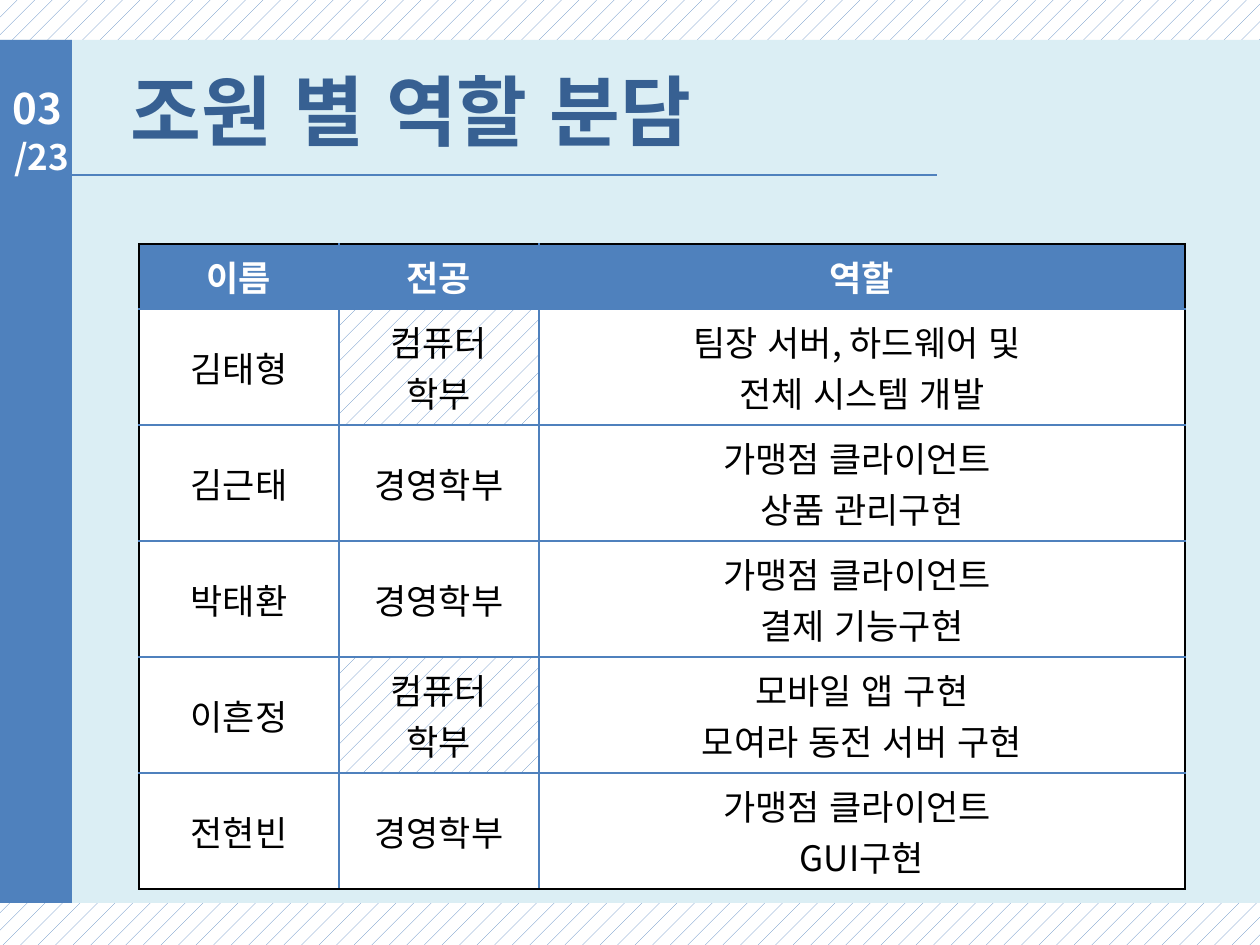
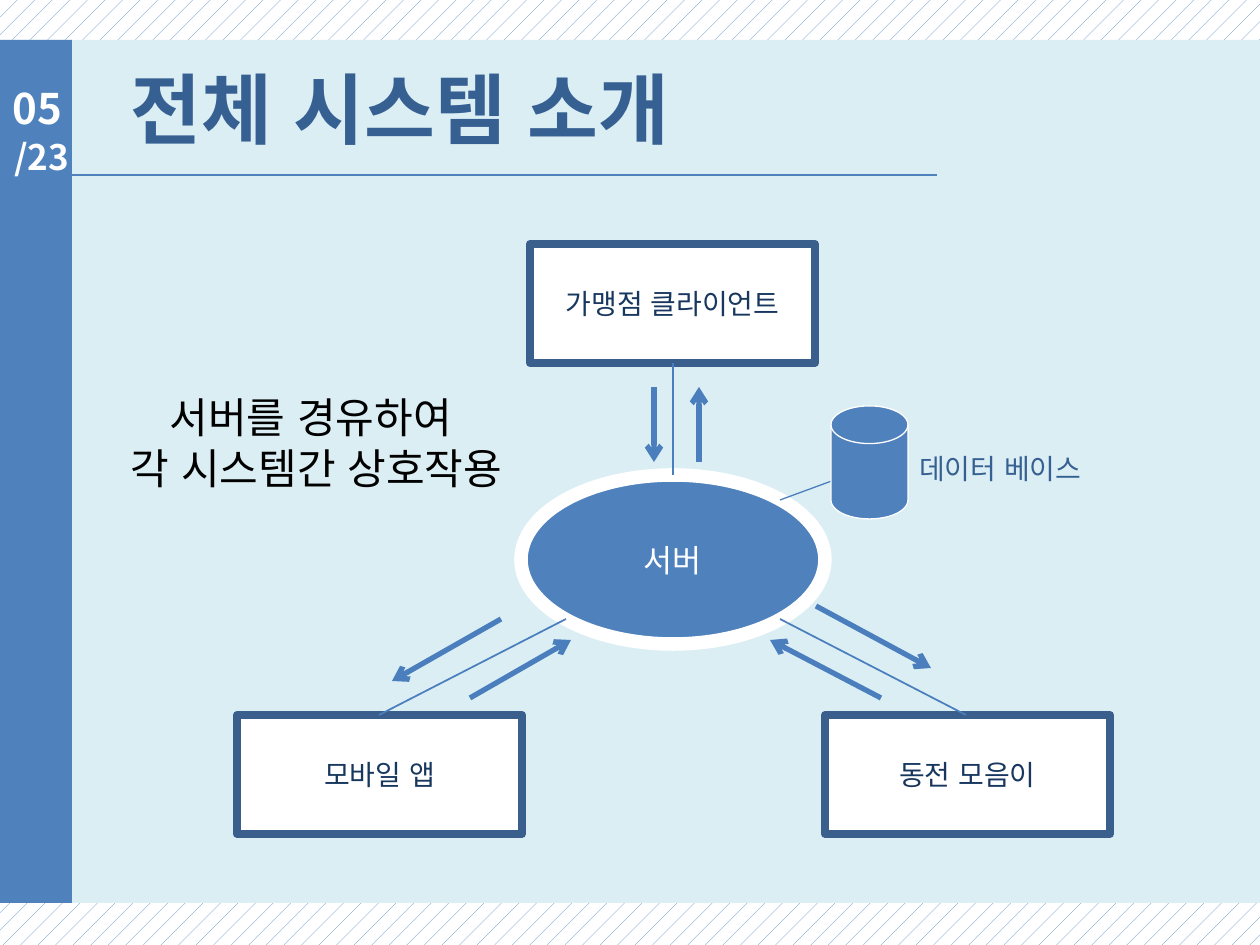
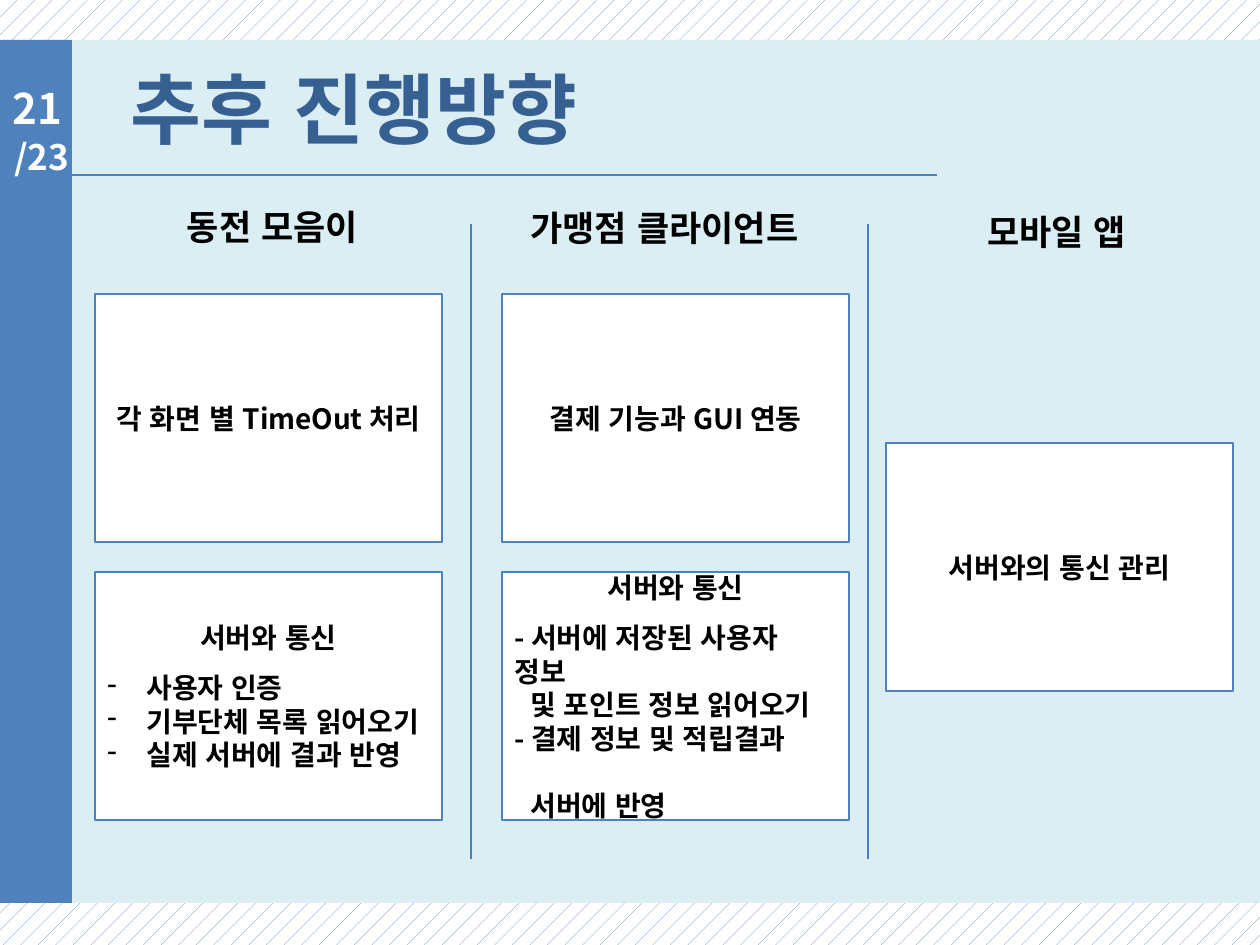
"""Build three project slides: team roles, system overview and next steps."""
from dataclasses import dataclass
from typing import NamedTuple

from lxml import etree
from pptx import Presentation
from pptx.dml.color import RGBColor
from pptx.enum.dml import MSO_PATTERN
from pptx.enum.shapes import MSO_CONNECTOR, MSO_SHAPE
from pptx.enum.text import MSO_ANCHOR, PP_ALIGN
from pptx.oxml.ns import qn
from pptx.util import Emu, Pt

SCALE = 914400 / 126
FONT = "Noto Sans CJK KR"
COLORS = {
    "blue": "4F81BD",
    "line": "4B7EBC",
    "frame": "3A5F8C",
    "title": "376092",
    "navy": "17375E",
    "pale": "DBEEF4",
    "white": "FFFFFF",
    "black": "000000",
}
LEFT, CENTER = PP_ALIGN.LEFT, PP_ALIGN.CENTER
TOP, MIDDLE = MSO_ANCHOR.TOP, MSO_ANCHOR.MIDDLE
RECT, OVAL = MSO_SHAPE.RECTANGLE, MSO_SHAPE.OVAL
DISK = MSO_SHAPE.FLOWCHART_MAGNETIC_DISK
STRAIGHT = MSO_CONNECTOR.STRAIGHT
DOTS = MSO_PATTERN.PERCENT_5


class Box(NamedTuple):
    """Left, top, width and height in px."""
    x: int
    y: int
    w: int
    h: int


class Style(NamedTuple):
    """Look of a text."""
    size: int
    color: str
    bold: bool = False
    align: PP_ALIGN = CENTER


@dataclass(frozen=True)
class Para:
    """One paragraph, with spacing in points and indent in px."""
    text: str
    align: PP_ALIGN | None = None
    before: float = 0
    after: float = 0
    indent: int = 0
    bullet: str = ""


@dataclass(frozen=True)
class Link:
    """A straight line between two points in px."""
    x1: int
    y1: int
    x2: int
    y2: int
    width: float = 1
    arrow: bool = False
    color: str = "line"


@dataclass(frozen=True)
class Node:
    """A filled shape with an optional outline and text."""
    box: Box
    fill: str
    edge: str = ""
    width: float = 0
    kind: MSO_SHAPE = RECT
    style: Style | None = None
    paras: tuple[Para, ...] = ()


class Member(NamedTuple):
    """One row of the role table."""
    name: str
    major: tuple[str, ...]
    role: tuple[str, ...]


TITLE = Style(44, "title", True, LEFT)
PAGE = Style(24, "white", True, LEFT)
TOTAL = Style(20, "white", True, LEFT)
HEADER = Style(20, "white", True)
BODY = Style(20, "black")
LABEL = Style(16, "navy")
HUB = Style(18, "white")
STORE = Style(16, "title", align=LEFT)
NOTE = Style(24, "black")
HEADING = Style(20, "black", True)
CARD = Style(16, "black", True)

COMPUTING = ("컴퓨터", "학부")
BUSINESS = ("경영학부",)
CLIENT = "가맹점 클라이언트"
MEMBERS = (
    Member("김태형", COMPUTING, ("팀장 서버, 하드웨어 및 ", "전체 시스템 개발")),
    Member("김근태", BUSINESS, (CLIENT + " ", "상품 관리구현")),
    Member("박태환", BUSINESS, (CLIENT + " ", "결제 기능구현")),
    Member("이흔정", COMPUTING, ("모바일 앱 구현", "모여라 동전 서버 구현")),
    Member("전현빈", BUSINESS, (CLIENT + " ", "GUI구현")),
)
HEADS = ("이름", "전공", "역할")
COLS = (200, 200, 646)
ROWS = (65,) + (116,) * len(MEMBERS)

SYSTEMS = ((CLIENT, 530, 244), ("모바일 앱", 237, 715), ("동전 모음이", 825, 715))
LINKS = (
    Link(673, 363, 673, 475),
    Link(566, 619, 379, 715),
    Link(780, 619, 966, 715),
    Link(501, 619, 392, 681, 3, True),
    Link(470, 698, 571, 640, 3, True),
    Link(654, 387, 654, 462, 3, True),
    Link(699, 462, 699, 387, 3, True),
    Link(881, 698, 770, 640, 3, True),
    Link(816, 606, 931, 668, 3, True),
    Link(780, 500, 848, 475, 0.75),
)

SERVER = Para("서버와 통신", after=9.5)
PLANS = (
    (95, 294, (Para("각 화면 별 TimeOut 처리"),)),
    (95, 572, (SERVER, *(
        Para(text, LEFT, indent=39, bullet="-")
        for text in ("사용자 인증", "기부단체 목록 읽어오기", "실제 서버에 결과 반영")
    ))),
    (886, 443, (Para("서버와의 통신 관리"),)),
    (502, 294, (Para("결제 기능과 GUI 연동"),)),
    (502, 572, (
        SERVER,
        Para("- 서버에 저장된 사용자 정보", LEFT),
        Para("및 포인트 정보 읽어오기", LEFT, indent=16),
        Para("- 결제 정보 및 적립결과", LEFT),
        Para("서버에 반영", LEFT, before=19, indent=16),
    )),
)


def px(size: int) -> Emu:
    """Turn px into EMU."""
    return Emu(round(size * SCALE))


def rgb(name: str) -> RGBColor:
    """Look up a colour."""
    return RGBColor.from_string(COLORS[name])


def hatch(fill) -> None:
    """Give a fill the blue pattern on white."""
    fill.patterned()
    fill.pattern = DOTS
    fill.fore_color.rgb = rgb("blue")
    fill.back_color.rgb = rgb("white")


def write(frame, paras: tuple[Para, ...], style: Style,
          pitch: float | None = None) -> None:
    """Fill a text frame with paragraphs."""
    for i, para in enumerate(paras):
        item = frame.add_paragraph() if i else frame.paragraphs[0]
        item.alignment = style.align if para.align is None else para.align
        item.line_spacing = pitch
        item.space_before, item.space_after = Pt(para.before), Pt(para.after)
        props = item._p.get_or_add_pPr()
        if para.indent:
            props.set("marL", str(px(para.indent)))
        if para.bullet:
            props.set("indent", str(-px(para.indent)))
            etree.SubElement(props, qn("a:buChar")).set("char", para.bullet)
        run = item.add_run()
        run.text = para.text
        font = run.font
        font.size, font.bold = Pt(style.size), style.bold
        font.color.rgb = rgb(style.color)
        font.name = FONT
        look = run._r.get_or_add_rPr()
        look.set("lang", "ko-KR")
        look.set("kern", "1200")
        etree.SubElement(look, qn("a:ea")).set("typeface", FONT)


def set_text(shape, paras: tuple[Para, ...], style: Style, anchor: MSO_ANCHOR) -> None:
    """Write wrapped text into a shape."""
    frame = shape.text_frame
    frame.word_wrap = True
    frame.vertical_anchor = anchor
    frame.margin_left = frame.margin_right = Pt(7.2)
    frame.margin_top = frame.margin_bottom = Pt(3.6)
    write(frame, paras, style)


def add_text(slide, box: Box, style: Style, *lines: str,
             anchor: MSO_ANCHOR = MIDDLE) -> None:
    """Add a text box."""
    shape = slide.shapes.add_textbox(*map(px, box))
    set_text(shape, tuple(map(Para, lines)), style, anchor)


def add_node(slide, node: Node) -> None:
    """Add a shape."""
    shape = slide.shapes.add_shape(node.kind, *map(px, node.box))
    shape.shadow.inherit = False
    shape.fill.solid()
    shape.fill.fore_color.rgb = rgb(node.fill)
    if node.edge:
        shape.line.color.rgb = rgb(node.edge)
        shape.line.width = Pt(node.width)
    else:
        shape.line.fill.background()
    if node.style:
        set_text(shape, node.paras, node.style, MIDDLE)


def add_link(slide, link: Link) -> None:
    """Add a line or an arrow."""
    ends = map(px, (link.x1, link.y1, link.x2, link.y2))
    shape = slide.shapes.add_connector(STRAIGHT, *ends)
    shape.line.color.rgb = rgb(link.color)
    shape.line.width = Pt(link.width)
    if link.arrow:
        tail = etree.SubElement(shape.line._get_or_add_ln(), qn("a:tailEnd"))
        tail.set("type", "arrow")
    etree.SubElement(shape._element.spPr, qn("a:effectLst"))


def add_page(deck, page: str, title: str, top: int = 42):
    """Add a slide with its bands, number and title."""
    slide = deck.slides.add_slide(deck.slide_layouts[6])
    hatch(slide.background.fill)
    add_node(slide, Node(Box(0, 40, 1260, 863), "pale"))
    add_link(slide, Link(72, 175, 937, 175, color="blue"))
    add_node(slide, Node(Box(0, 40, 72, 863), "blue"))
    add_text(slide, Box(2, 129, 84, 55), TOTAL, "/23", anchor=TOP)
    add_text(slide, Box(0, 76, 84, 63), PAGE, page, anchor=TOP)
    add_text(slide, Box(118, top, 760, 131), TITLE, title)
    return slide


def set_edge(cell, sides: dict[str, str]) -> None:
    """Draw the four borders of a cell."""
    props = cell._tc.get_or_add_tcPr()
    for i, (side, color) in enumerate(sides.items()):
        line = etree.Element(qn(f"a:ln{side}"), w=str(Pt(1)))
        fill = etree.SubElement(line, qn("a:solidFill"))
        etree.SubElement(fill, qn("a:srgbClr")).set("val", COLORS[color])
        props.insert(i, line)


def add_roles(slide) -> None:
    """Add the role table."""
    box = Box(139, 244, sum(COLS), sum(ROWS))
    table = slide.shapes.add_table(len(ROWS), len(COLS), *map(px, box)).table
    table.horz_banding = False
    for col, width in zip(table.columns, COLS):
        col.width = px(width)
    for row, height in zip(table.rows, ROWS):
        row.height = px(height)
    grid = [[(head,) for head in HEADS]]
    grid += [[(man.name,), man.major, man.role] for man in MEMBERS]
    for r, row in enumerate(grid):
        for c, lines in enumerate(row):
            cell = table.cell(r, c)
            cell.vertical_anchor = MIDDLE
            cell.margin_left = cell.margin_right = px(14)
            cell.margin_top = cell.margin_bottom = px(7)
            if lines == COMPUTING:
                hatch(cell.fill)
            else:
                cell.fill.solid()
                cell.fill.fore_color.rgb = rgb("white" if r else "blue")
            outer = {"L": c == 0, "R": c == len(COLS) - 1,
                     "T": r == 0, "B": r == len(ROWS) - 1}
            set_edge(cell, {side: "black" if out else "blue"
                            for side, out in outer.items()})
            paras = tuple(map(Para, lines))
            write(cell.text_frame, paras, BODY if r else HEADER, 1.0)


def add_system(slide) -> None:
    """Add the system diagram."""
    for text, x, y in SYSTEMS:
        add_node(slide, Node(Box(x, y, 285, 119), "white", "frame", 4.5,
                             style=LABEL, paras=(Para(text),)))
    add_node(slide, Node(Box(521, 475, 304, 169), "blue", "white", 7.75, OVAL,
                         HUB, (Para("서버"),)))
    for link in LINKS:
        add_link(slide, link)
    add_node(slide, Node(Box(831, 406, 77, 113), "blue", "white", 0.75, DISK))
    add_text(slide, Box(907, 435, 200, 66), STORE, "데이터 베이스")
    add_text(slide, Box(83, 383, 467, 118), NOTE,
             "서버를 경유하여 ", "각 시스템간 상호작용")


def add_plans(slide) -> None:
    """Add the columns of next steps."""
    heads = (("동전 모음이", 194), (CLIENT, 195), ("모바일 앱", 199))
    for i, (text, y) in enumerate(heads):
        add_text(slide, Box(84 + 392 * i, y, 377, 66), HEADING, text)
    for x in (471, 868):
        add_link(slide, Link(x, 224, x, 859, 1.5))
    for x, y, paras in PLANS:
        add_node(slide, Node(Box(x, y, 347, 248), "white", "blue", 0.75,
                             style=CARD, paras=paras))


def main() -> None:
    """Build and save the deck."""
    deck = Presentation()
    deck.slide_width, deck.slide_height = px(1260), px(945)
    add_roles(add_page(deck, "03", "조원 별 역할 분담", 44))
    add_system(add_page(deck, "05", "전체 시스템 소개"))
    add_plans(add_page(deck, "21", "추후 진행방향"))
    deck.save("out.pptx")


if __name__ == "__main__":
    main()
